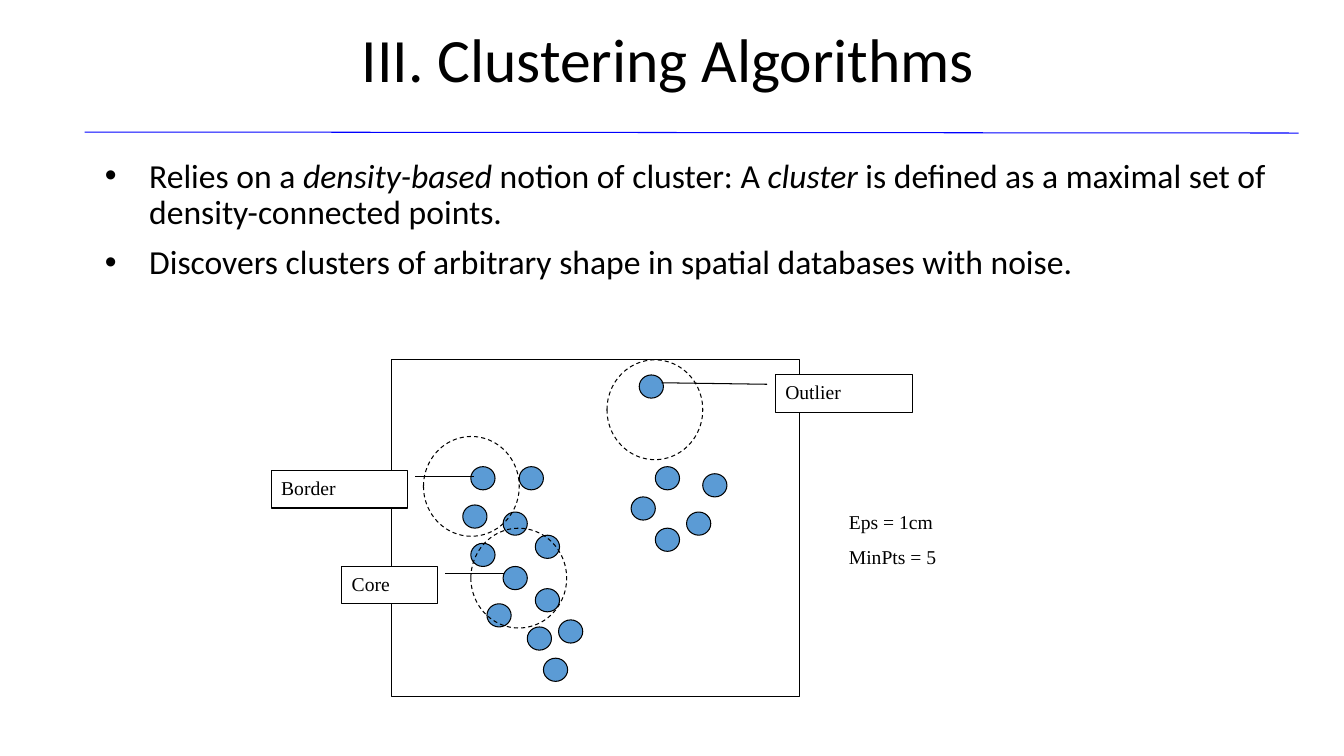
"""Builds a slide on density-based clustering with a core, border and outlier diagram."""
from lxml import etree
from pptx import Presentation
from pptx.dml.color import RGBColor
from pptx.enum.dml import MSO_LINE
from pptx.enum.shapes import MSO_CONNECTOR, MSO_SHAPE
from pptx.enum.text import MSO_ANCHOR, MSO_AUTO_SIZE, PP_ALIGN
from pptx.oxml.ns import qn
from pptx.util import Inches, Pt

COLORS = {"text": "000000", "outline": "000000", "point": "5B9BD5", "label": "FFFFFF", "rule": "0000FF"}
HEADING_FONT, DIAGRAM_FONT = "Calibri", "Times New Roman"

TITLE = "III. Clustering Algorithms"
BULLETS = [
    [("Relies on a ", False), ("density-based", True), (" notion of cluster: A ", False),
     ("cluster", True), (" is defined as a maximal set of density-connected points.", False)],
    [("Discovers clusters of arbitrary shape in spatial databases with noise.", False)],
]
PARAMETERS = ["Eps = 1cm", "MinPts = 5"]

POINT_SIZE = (0.24, 0.23)
LEFT_CLUSTER = [(4.67, 4.63), (4.59, 5.01), (4.99, 5.08), (5.15, 4.63), (5.31, 5.31), (4.67, 5.39),
                (4.99, 5.62), (4.83, 5.99), (5.23, 6.22), (5.39, 6.53), (5.31, 5.84), (5.54, 6.15)]
RIGHT_CLUSTER = [(6.5, 4.63), (6.26, 4.93), (6.81, 5.08), (6.97, 4.7), (6.5, 5.24)]
OUTLIER = (6.34, 3.72)
DATA_FRAME = (3.88, 3.57, 4.05, 3.34)
NEIGHBORHOOD_SIZE = (0.95, 0.99)
NEIGHBORHOODS = [(4.2, 4.33), (4.67, 5.24), (6.02, 3.57)]
LABELS = [
    ("Core", (3.39, 5.62, 0.95, 0.37), (0.19, 1.08, 0.19, 1.69)),
    ("Border", (2.69, 4.67, 1.35, 0.37), (0.15, 1.06, 0.15, 1.49)),
    ("Outlier", (7.69, 3.72, 1.36, 0.37), (0.25, -0.06, 0.21, -0.83)),
]


def color(key):
    return RGBColor.from_string(COLORS[key])


def style_font(font, name, size):
    font.name, font.size = name, Pt(size)
    font.color.rgb = color("text")


def place(placeholder, left, top, width, height):
    placeholder.left, placeholder.top = Inches(left), Inches(top)
    placeholder.width, placeholder.height = Inches(width), Inches(height)
    placeholder.text_frame.auto_size = MSO_AUTO_SIZE.NONE


def add_outlined(slide, kind, box, fill=None, dashed=False):
    outlined = slide.shapes.add_shape(kind, *map(Inches, box))
    outlined.shadow.inherit = False
    if fill:
        outlined.fill.solid()
        outlined.fill.fore_color.rgb = color(fill)
    else:
        outlined.fill.background()
    outlined.line.color.rgb = color("outline")
    outlined.line.width = Pt(0.75)
    if dashed:
        outlined.line.dash_style = MSO_LINE.DASH
    return outlined


def write_diagram_text(frame, lines):
    frame.word_wrap = True
    frame.vertical_anchor = MSO_ANCHOR.TOP
    frame.text = "\n".join(lines)
    for index, paragraph in enumerate(frame.paragraphs):
        paragraph.alignment = PP_ALIGN.LEFT
        paragraph.space_before = Pt(8 if index else 0)
        for run in paragraph.runs:
            style_font(run.font, DIAGRAM_FONT, 14)


def add_heading(slide):
    title = slide.shapes.title
    place(title, 0.88, 0.09, 11.5, 0.91)
    title.text_frame.text = TITLE
    title.text_frame.vertical_anchor = MSO_ANCHOR.BOTTOM
    heading = title.text_frame.paragraphs[0]
    heading.alignment = PP_ALIGN.CENTER
    heading.line_spacing = 0.9
    style_font(heading.runs[0].font, HEADING_FONT, 44)

    rule = slide.shapes.add_connector(
        MSO_CONNECTOR.STRAIGHT, Inches(0.84), Inches(1.31), Inches(12.88), Inches(1.32))
    rule.line.color.rgb = color("rule")
    rule.line.width = Pt(0.75)
    etree.SubElement(rule._element.spPr, qn("a:effectLst"))


def add_bullets(slide):
    body = slide.placeholders[1]
    place(body, 0.88, 1.53, 12.02, 1.74)
    frame = body.text_frame
    frame.vertical_anchor = MSO_ANCHOR.TOP
    for index, segments in enumerate(BULLETS):
        paragraph = frame.add_paragraph() if index else frame.paragraphs[0]
        paragraph.line_spacing = 0.9
        paragraph.space_before = Pt(10 if index else 0)
        properties = paragraph._p.get_or_add_pPr()
        properties.set("marL", str(Inches(0.5)))
        properties.set("indent", str(Inches(-0.44)))
        etree.SubElement(properties, qn("a:buFont"), typeface="Arial")
        etree.SubElement(properties, qn("a:buChar"), char="•")
        for words, italic in segments:
            run = paragraph.add_run()
            run.text = words
            style_font(run.font, HEADING_FONT, 24)
            run.font.italic = italic


def add_diagram(slide):
    for point in LEFT_CLUSTER + RIGHT_CLUSTER + [OUTLIER]:
        add_outlined(slide, MSO_SHAPE.OVAL, point + POINT_SIZE, fill="point")
    add_outlined(slide, MSO_SHAPE.RECTANGLE, DATA_FRAME)
    for corner in NEIGHBORHOODS:
        add_outlined(slide, MSO_SHAPE.OVAL, corner + NEIGHBORHOOD_SIZE, dashed=True)
    for name, box, pointer in LABELS:
        label = add_outlined(slide, MSO_SHAPE.LINE_CALLOUT_1, box, fill="label")
        for index, value in enumerate(pointer):
            label.adjustments[index] = value
        write_diagram_text(label.text_frame, [name])
    parameters = slide.shapes.add_textbox(*map(Inches, (8.32, 5.01, 1.98, 0.77)))
    write_diagram_text(parameters.text_frame, PARAMETERS)


def main():
    deck = Presentation()
    deck.slide_width, deck.slide_height = Inches(13.33), Inches(7.5)
    slide = deck.slides.add_slide(deck.slide_layouts[1])
    add_heading(slide)
    add_bullets(slide)
    add_diagram(slide)
    deck.save("out.pptx")


if __name__ == "__main__":
    main()
